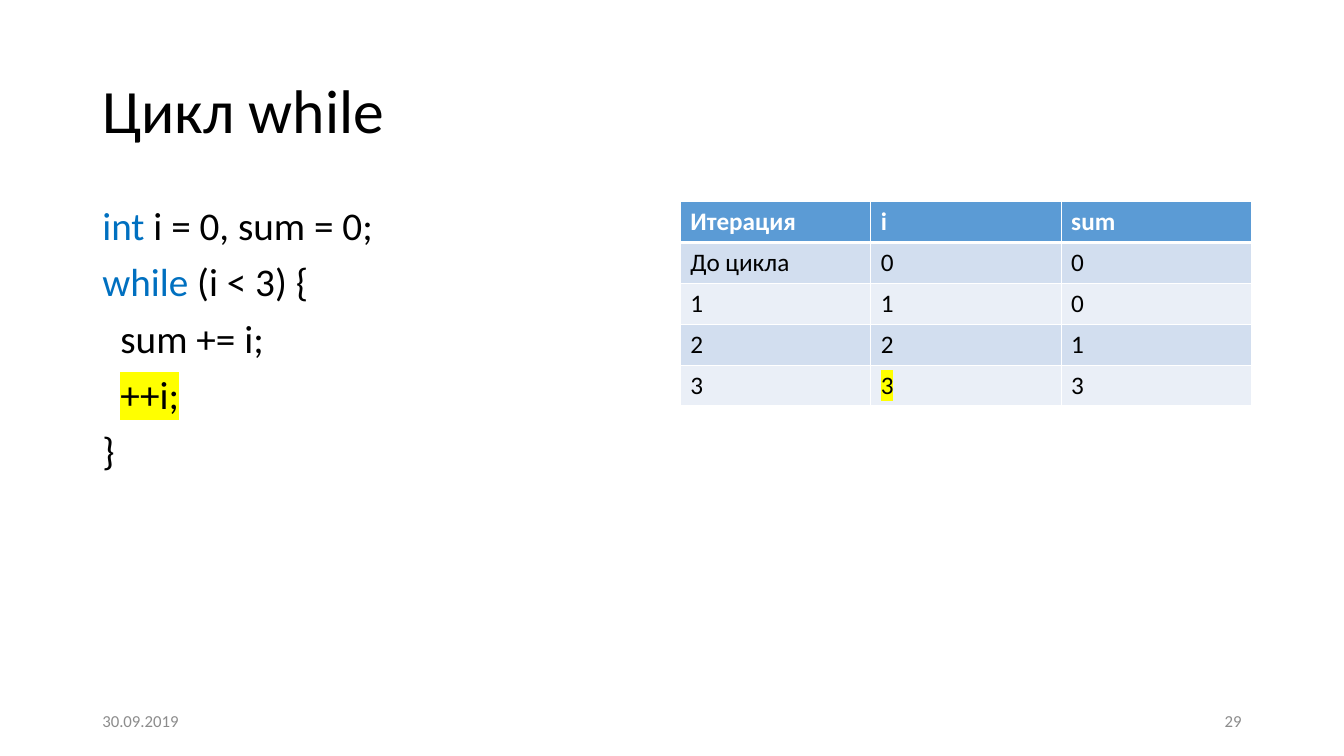
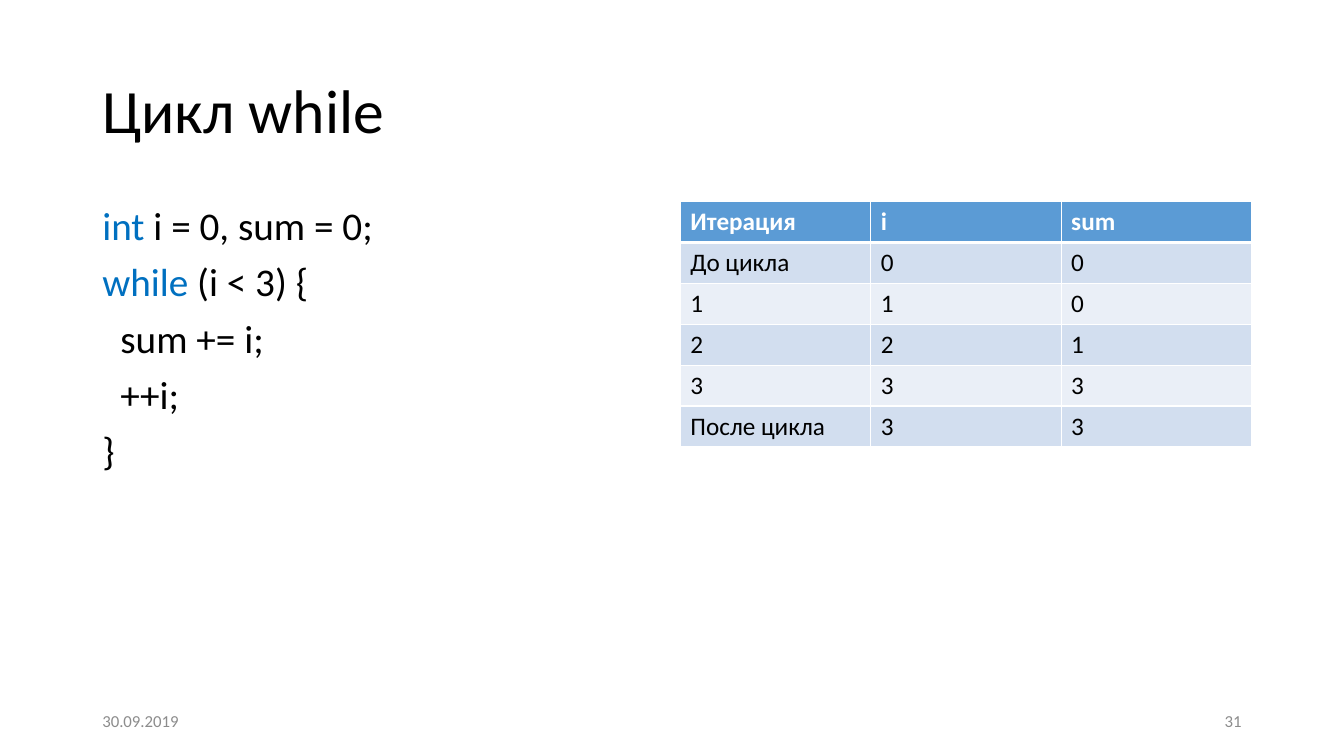
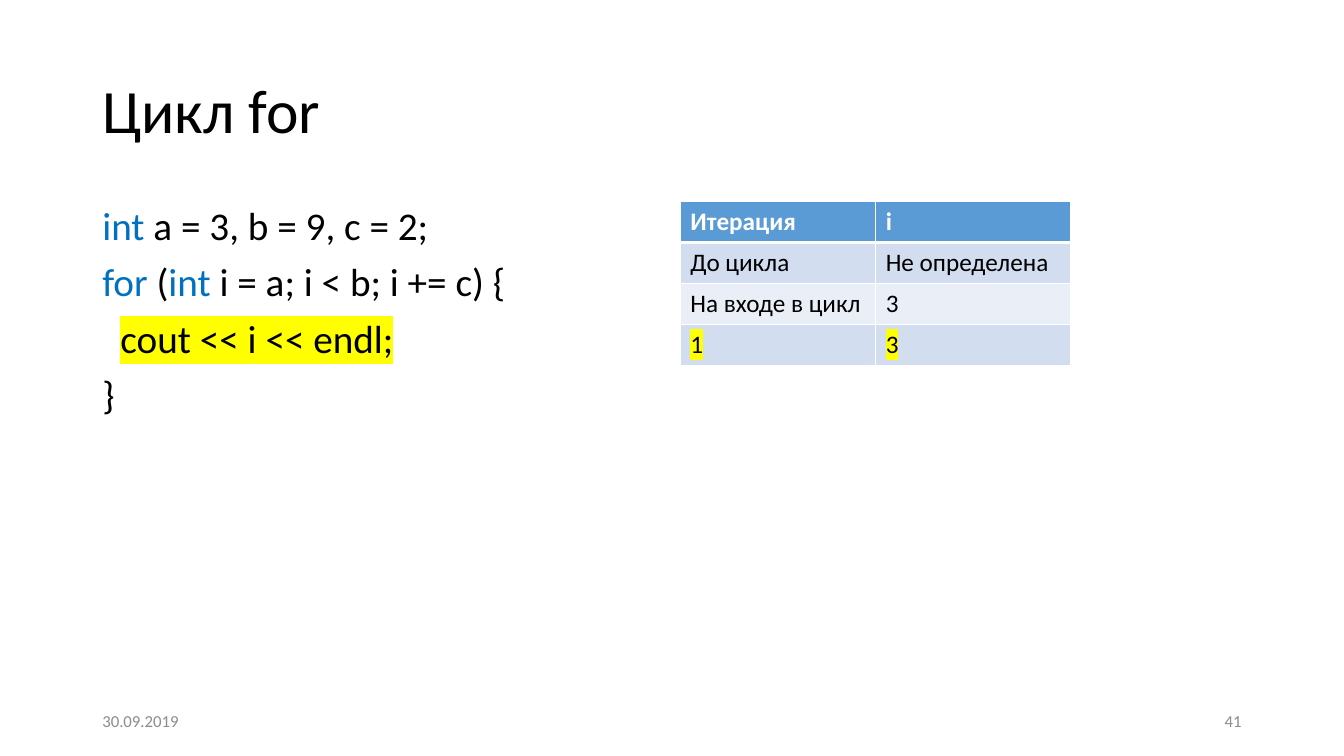
from lxml import etree
from pptx import Presentation
from pptx.dml.color import RGBColor
from pptx.enum.text import MSO_ANCHOR, PP_ALIGN
from pptx.oxml.ns import qn
from pptx.util import Inches, Pt

TOP, MIDDLE = MSO_ANCHOR.TOP, MSO_ANCHOR.MIDDLE
LEFT, RIGHT = PP_ALIGN.LEFT, PP_ALIGN.RIGHT

COLORS = {
    "text": "000000", "keyword": "0070C0", "mark": "FFFF00", "footer": "8C8C8C",
    "white": "FFFFFF", "header": "5B9BD5", "odd": "D2DEEF", "even": "EAEFF7",
}
FONT = "Calibri"
DATE = "30.09.2019"

# The slide is a grid of 160 columns by 90 rows.
COLS, ROWS = 160, 90
MARGIN, CONTENT = 11, 138
HALF, TABLE_LEFT, BODY_TOP = 68, 81, 24
FOOTER_TOP, FOOTER_W, FOOTER_H = 83.4, 36, 4.8
TABLE_ROW = 4.87
INDENT = 0.18


class Deck:
    """Holds the style, the presentation and the current slide."""

    def __init__(self):
        """Start an empty widescreen presentation."""
        self.prs = Presentation()
        self.prs.slide_width = Inches(13.333)
        self.prs.slide_height = Inches(7.5)
        self.s = None

    def box(self, col, row, width, height):
        """Turn grid columns and rows into slide lengths."""
        x = self.prs.slide_width / COLS
        y = self.prs.slide_height / ROWS
        return int(col * x), int(row * y), int(width * x), int(height * y)

    def style(self, r, size, color="text", bold=False, marked=False):
        """Format a run, with a highlight if it is marked."""
        r.font.size, r.font.bold, r.font.name = Pt(size), bold, FONT
        r.font.color.rgb = RGBColor.from_string(COLORS[color])
        if marked:
            highlight = etree.Element(qn("a:highlight"))
            etree.SubElement(highlight, qn("a:srgbClr"), val=COLORS["mark"])
            r.font._element.find(qn("a:solidFill")).addnext(highlight)

    def frame(self, area, anchor=MIDDLE):
        """Add a wrapping text box and return its text frame."""
        tf = self.s.shapes.add_textbox(*self.box(*area)).text_frame
        tf.word_wrap, tf.vertical_anchor = True, anchor
        return tf

    def label(self, text, area, size, color="text", align=LEFT, spacing=1.0):
        """Add one line of text."""
        p = self.frame(area).paragraphs[0]
        p.text, p.alignment, p.line_spacing = text, align, spacing
        self.style(p.runs[0], size, color)

    def slide(self, title, number):
        """Add a slide with its title, date and number."""
        self.s = self.prs.slides.add_slide(self.prs.slide_layouts[6])
        self.label(title, (MARGIN, 4.8, CONTENT, 17.4), 44, spacing=0.9)
        right = MARGIN + CONTENT - FOOTER_W
        for text, col, align in ((DATE, MARGIN, LEFT), (str(number), right, RIGHT)):
            self.label(text, (col, FOOTER_TOP, FOOTER_W, FOOTER_H), 12, "footer", align)

    def code(self, lines, marked=None):
        """Add code: a tab indents, backquotes hold keywords, one line may be marked."""
        tf = self.frame((MARGIN, BODY_TOP, HALF, 57.12), TOP)
        for n, line in enumerate(lines):
            p = tf.add_paragraph() if n else tf.paragraphs[0]
            p.line_spacing, p.space_before = 0.9, Pt(10)
            p._p.get_or_add_pPr().set("marL", str(Inches(INDENT * line.count("\t"))))
            for k, part in enumerate(line.strip("\t").split("`")):
                if part:
                    r = p.add_run()
                    r.text = part
                    self.style(r, 28, "keyword" if k % 2 else "text", marked=n == marked)

    def borders(self, cell, top, bottom):
        """Draw white cell borders, one point wide at the sides."""
        tcPr = cell._tc.get_or_add_tcPr()
        edges = {"a:lnL": 1, "a:lnR": 1, "a:lnT": top, "a:lnB": bottom}
        for k, (tag, width) in enumerate(edges.items()):
            ln = etree.Element(qn(tag), w=str(Pt(width)))
            fill = etree.SubElement(ln, qn("a:solidFill"))
            etree.SubElement(fill, qn("a:srgbClr"), val=COLORS["white"])
            tcPr.insert(k, ln)

    def table(self, rows, width=HALF, marked=()):
        """Add a banded table; marked lists the (row, column) of highlighted cells."""
        area = self.box(TABLE_LEFT, BODY_TOP, width, TABLE_ROW * len(rows))
        table = self.s.shapes.add_table(len(rows), len(rows[0]), *area).table
        for i, row in enumerate(rows):
            band = ("odd" if i % 2 else "even") if i else "header"
            for j, text in enumerate(row):
                cell = table.cell(i, j)
                cell.text_frame.text = text
                cell.fill.solid()
                cell.fill.fore_color.rgb = RGBColor.from_string(COLORS[band])
                self.borders(cell, 3 if i == 1 else 1, 1 if i else 3)
                self.style(cell.text_frame.paragraphs[0].runs[0], 18,
                           "text" if i else "white", i == 0, (i, j) in marked)


WHILE_CODE = ["`int` i = 0, sum = 0;", "`while` (i < 3) {", "\tsum += i;", "\t++i;", "}"]
WHILE_STEPS = [("Итерация", "i", "sum"), ("До цикла", "0", "0"),
               ("1", "1", "0"), ("2", "2", "1"), ("3", "3", "3")]
FOR_CODE = ["`int` a = 3, b = 9, c = 2;", "`for` (`int` i = a; i < b; i += c) {",
            "\tcout << i << endl;", "}"]
FOR_STEPS = [("Итерация", "i"), ("До цикла", "Не определена"),
             ("На входе в цикл", "3"), ("1", "3")]

deck = Deck()

deck.slide("Цикл while", 29)
deck.code(WHILE_CODE, marked=3)
deck.table(WHILE_STEPS, marked=[(4, 1)])

deck.slide("Цикл while", 31)
deck.code(WHILE_CODE)
deck.table(WHILE_STEPS + [("После цикла", "3", "3")])

deck.slide("Цикл for", 41)
deck.code(FOR_CODE, marked=2)
deck.table(FOR_STEPS, width=46.5, marked=[(3, 0), (3, 1)])

deck.prs.save("out.pptx")
